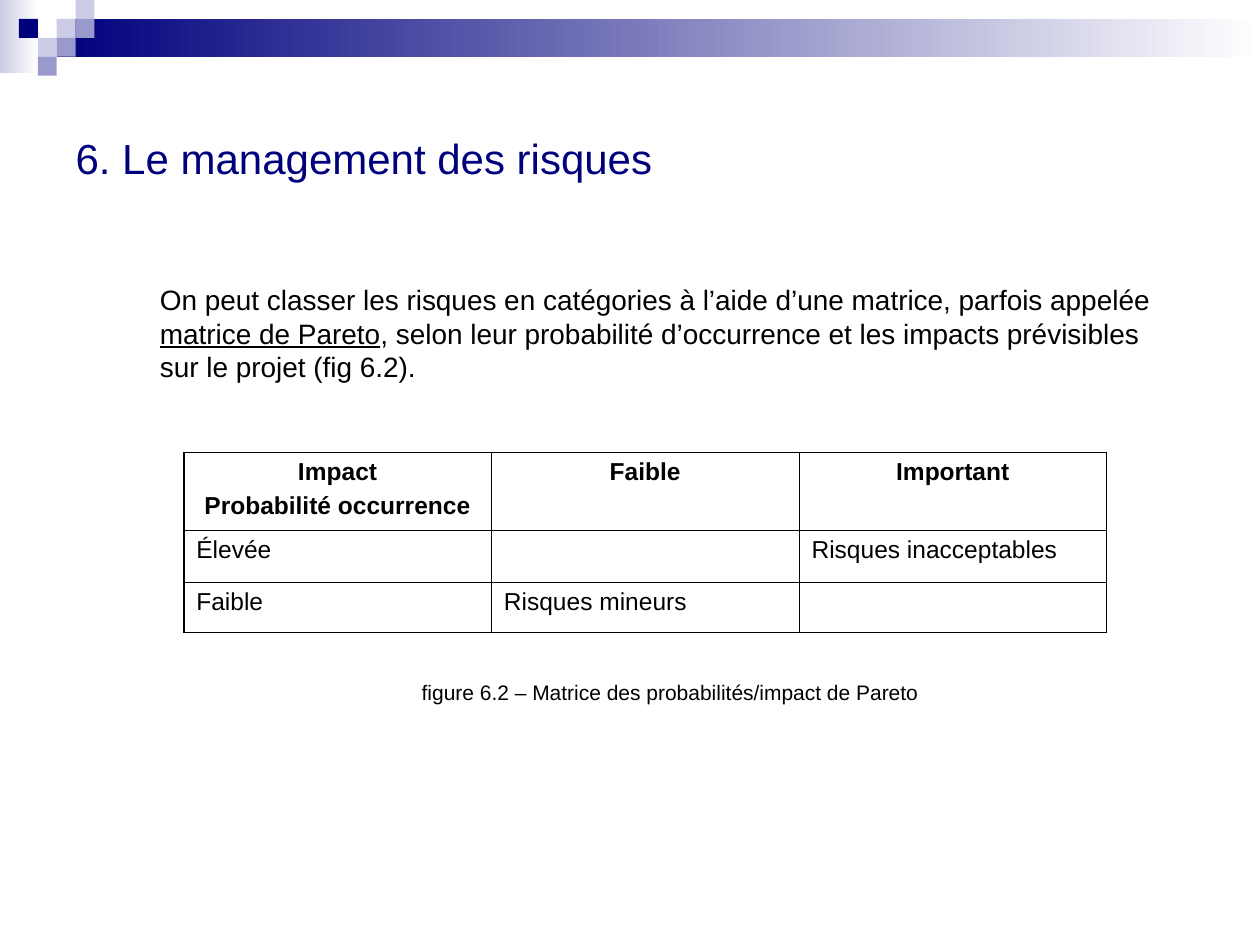
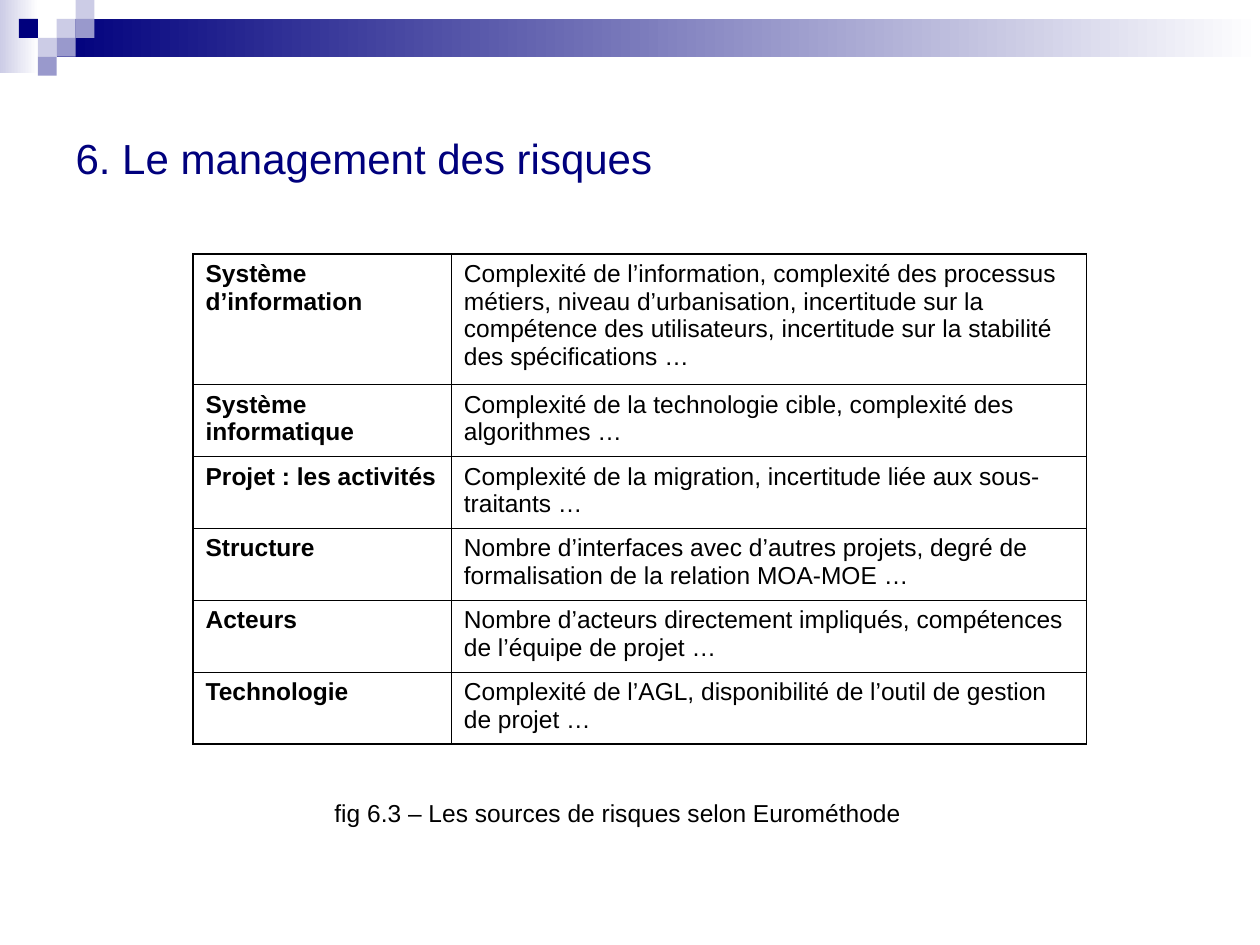
"""Build two slides on project risk management: a Pareto matrix and the risk sources."""
from lxml import etree
from pptx import Presentation
from pptx.dml.color import RGBColor
from pptx.enum.shapes import MSO_SHAPE
from pptx.enum.text import MSO_ANCHOR, PP_ALIGN
from pptx.oxml.ns import qn
from pptx.util import Pt

RECTANGLE = MSO_SHAPE.RECTANGLE
MIDDLE = MSO_ANCHOR.MIDDLE
LEFT, CENTER = PP_ALIGN.LEFT, PP_ALIGN.CENTER

NAVY = RGBColor(0x00, 0x00, 0x7D)
LILAC = RGBColor(0x99, 0x99, 0xCC)
PALE = RGBColor(0xCC, 0xCC, 0xE6)
WHITE = RGBColor(0xFF, 0xFF, 0xFF)
BLACK = RGBColor(0x00, 0x00, 0x00)

FONT = "Arial"
TITLE = "6. Le management des risques"
TITLE_ONLY = 5
TILE = 10.8
OUTER, INNER = 1.08, 0.45

TILES = [
    (3, 1, PALE), (4, 0, PALE), (4, 1, LILAC), (2, 2, PALE),
    (1, 1, NAVY), (3, 2, LILAC), (2, 3, LILAC),
]
EXPLANATION = [
    "On peut classer les risques en catégories à l’aide d’une matrice, parfois appelée ",
    "matrice de Pareto",
    ", selon leur probabilité d’occurrence et les impacts prévisibles sur le projet (fig 6.2).",
]
PARETO_MATRIX = [
    ["Impact\nProbabilité occurrence", "Faible", "Important"],
    ["Élevée", "", "Risques inacceptables"],
    ["Faible", "Risques mineurs", ""],
]
RISK_SOURCES = [
    ["Système d’information",
     "Complexité de l’information, complexité des processus métiers, niveau d’urbanisation, "
     "incertitude sur la compétence des utilisateurs, incertitude sur la stabilité des "
     "spécifications …"],
    ["Système informatique",
     "Complexité de la technologie cible, complexité des algorithmes …"],
    ["Projet : les activités",
     "Complexité de la migration, incertitude liée aux sous-traitants …"],
    ["Structure",
     "Nombre d’interfaces avec d’autres projets, degré de formalisation de la relation "
     "MOA-MOE …"],
    ["Acteurs",
     "Nombre d’acteurs directement impliqués, compétences de l’équipe de projet …"],
    ["Technologie",
     "Complexité de l’AGL, disponibilité de l’outil de gestion de projet …"],
]


def format_runs(paragraph, size, color=BLACK, bold=False):
    for run in paragraph.runs:
        run.font.name = FONT
        run.font.size = Pt(size)
        run.font.bold = bold
        run.font.color.rgb = color


def add_block(slide, left, top, width, height, start, end=None):
    block = slide.shapes.add_shape(RECTANGLE, Pt(left), Pt(top), Pt(width), Pt(height))
    block.shadow.inherit = False
    block.line.fill.background()
    if end is None:
        block.fill.solid()
        block.fill.fore_color.rgb = start
    else:
        block.fill.gradient()
        block.fill.gradient_angle = 0
        for stop, color in zip(block.fill.gradient_stops, (start, end)):
            stop.color.rgb = color


def add_banner(slide):
    add_block(slide, 0, 0, 22, 42, PALE, WHITE)
    add_block(slide, 3 * TILE, TILE, 720 - 3 * TILE, 2 * TILE, NAVY, WHITE)
    for column, row, color in TILES:
        add_block(slide, column * TILE, row * TILE, TILE, TILE, color)


def add_titled_slide(deck):
    slide = deck.slides.add_slide(deck.slide_layouts[TITLE_ONLY])
    add_banner(slide)
    title = slide.shapes.title
    title.left, title.top, title.width, title.height = Pt(36), Pt(36), Pt(648), Pt(108)
    title.text_frame.text = TITLE
    title.text_frame.vertical_anchor = MIDDLE
    heading = title.text_frame.paragraphs[0]
    heading.alignment = LEFT
    format_runs(heading, 24, NAVY)
    return slide


def add_text(slide, left, top, width, height, parts, size, alignment=LEFT):
    frame = slide.shapes.add_textbox(Pt(left), Pt(top), Pt(width), Pt(height)).text_frame
    frame.word_wrap = True
    frame.margin_left = frame.margin_right = frame.margin_top = frame.margin_bottom = 0
    paragraph = frame.paragraphs[0]
    paragraph.alignment = alignment
    for part in parts:
        paragraph.add_run().text = part
    format_runs(paragraph, size)
    return paragraph


def set_borders(cell, widths):
    properties = cell._tc.get_or_add_tcPr()
    for index, (side, width) in enumerate(zip("LRTB", widths)):
        border = etree.Element(qn(f"a:ln{side}"), w=str(Pt(width)))
        fill = etree.SubElement(border, qn("a:solidFill"))
        etree.SubElement(fill, qn("a:srgbClr"), val=str(BLACK))
        properties.insert(index, border)


def add_grid(slide, left, top, widths, heights, rows, header_row):
    frame = slide.shapes.add_table(
        len(heights), len(widths), Pt(left), Pt(top), Pt(sum(widths)), Pt(sum(heights)))
    table = frame.table
    table.first_row = table.horz_banding = False
    for column, width in zip(table.columns, widths):
        column.width = Pt(width)
    last_row, last_column = len(heights) - 1, len(widths) - 1
    for r, (height, texts) in enumerate(zip(heights, rows)):
        table.rows[r].height = Pt(height)
        for c, text in enumerate(texts):
            cell = table.cell(r, c)
            cell.fill.background()
            edges = (c == 0, c == last_column, r == 0, r == last_row)
            set_borders(cell, [OUTER if edge else INNER for edge in edges])
            cell.text_frame.text = text
            is_header = r == 0 if header_row else c == 0
            for position, paragraph in enumerate(cell.text_frame.paragraphs):
                paragraph.alignment = CENTER if header_row and is_header else LEFT
                if position:
                    paragraph.space_before = Pt(3.5)
                format_runs(paragraph, 14, bold=is_header)


def add_matrix_slide(deck):
    slide = add_titled_slide(deck)
    explanation = add_text(slide, 91.4, 161.5, 584.6, 58, EXPLANATION, 16)
    explanation.runs[1].font.underline = True
    add_grid(slide, 105, 258.5, [175.8] * 3, [44.6, 29.6, 28.2], PARETO_MATRIX, True)
    add_text(slide, 183, 388.5, 400, 16,
             ["figure 6.2 – Matrice des probabilités/impact de Pareto"], 12, CENTER)


def add_sources_slide(deck):
    slide = add_titled_slide(deck)
    add_grid(slide, 110.3, 145.3, [147.6, 363], [74.5] + [41.1] * 5, RISK_SOURCES, False)
    add_text(slide, 153, 456, 400, 18,
             ["fig 6.3 – Les sources de risques selon Eurométhode"], 14, CENTER)


def main():
    deck = Presentation()
    deck.slide_width, deck.slide_height = Pt(720), Pt(540)
    add_matrix_slide(deck)
    add_sources_slide(deck)
    deck.save("out.pptx")


if __name__ == "__main__":
    main()
